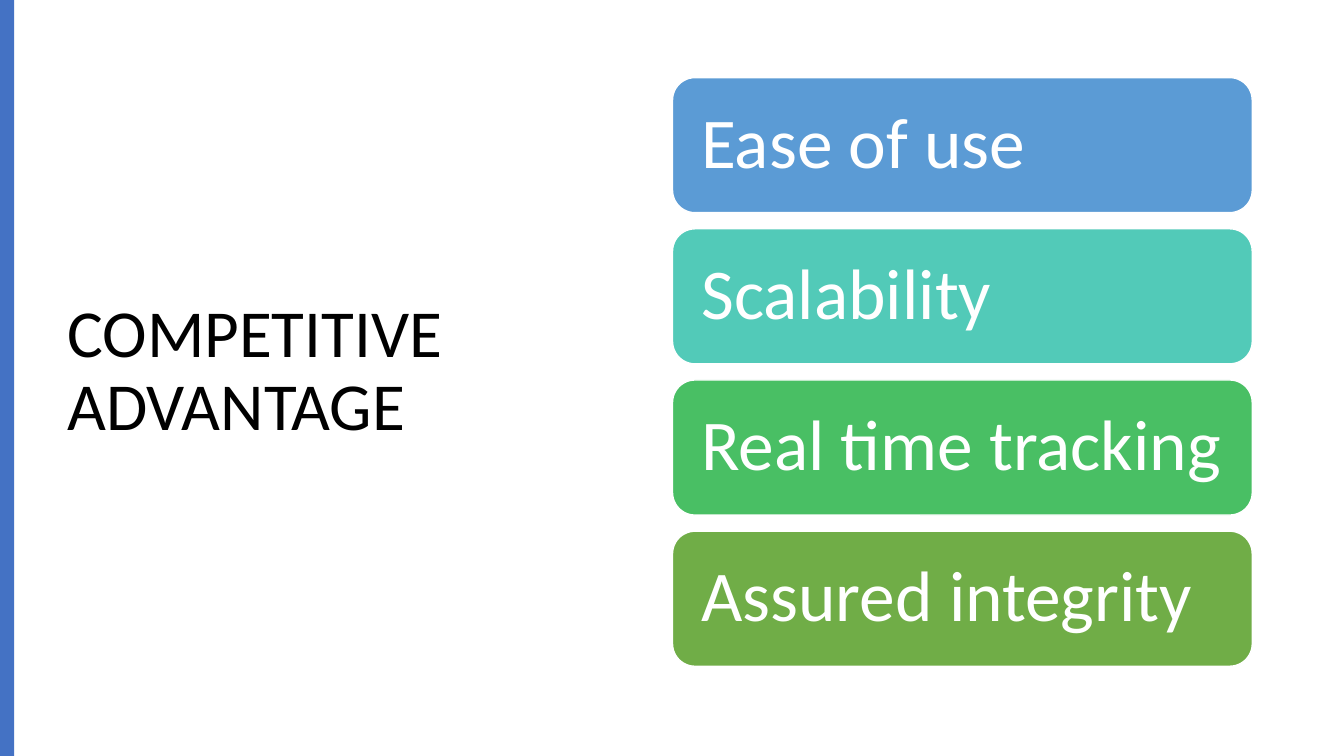
from pptx import Presentation
from pptx import util as u
from pptx.dml.color import RGBColor
from pptx.enum import shapes, text

deck = Presentation()
deck.slide_width, deck.slide_height = u.Inches(13.33), u.Inches(7.5)
slide = deck.slides.add_slide(deck.slide_layouts[6])


def paint(target, color):
    target.fill.solid()
    target.fill.fore_color.rgb = RGBColor.from_string(color)


def write(frame, words, size, color, side_inset):
    frame.word_wrap = True
    frame.vertical_anchor = text.MSO_ANCHOR.MIDDLE
    frame.margin_left = u.Inches(side_inset)
    frame.margin_right = u.Inches(0.1)
    frame.margin_top = frame.margin_bottom = 0
    line = frame.paragraphs[0]
    line.alignment = text.PP_ALIGN.LEFT
    line.line_spacing = 0.9
    run = line.add_run()
    run.text = words
    run.font.name = "Calibri"
    run.font.size = u.Pt(size)
    paint(run.font, color)


heading = slide.shapes.add_textbox(
    u.Inches(0.57), u.Inches(0.68), u.Inches(5.67), u.Inches(6.02))
write(heading.text_frame, "COMPETITIVE ADVANTAGE", 48, "000000", 0.1)

side_band = slide.shapes.add_shape(
    shapes.MSO_SHAPE.RECTANGLE, 0, 0, u.Inches(0.14), deck.slide_height)
side_band.shadow.inherit = False
paint(side_band, "4472C4")
side_band.line.fill.background()

advantages = [
    ("Ease of use", "5B9BD5"),
    ("Scalability", "52CAB8"),
    ("Real time tracking", "49BF64"),
    ("Assured integrity", "70AD47"),
]
first_top, row_pitch = 0.77, 1.5
for row, (advantage, color) in enumerate(advantages):
    card = slide.shapes.add_shape(
        shapes.MSO_SHAPE.ROUNDED_RECTANGLE,
        u.Inches(6.67), u.Inches(first_top + row * row_pitch),
        u.Inches(5.75), u.Inches(1.34))
    card.shadow.inherit = False
    paint(card, color)
    paint(card.line, "FFFFFF")
    card.line.width = u.Pt(1)
    write(card.text_frame, advantage, 51, "FFFFFF", 0.22)

deck.save("out.pptx")
